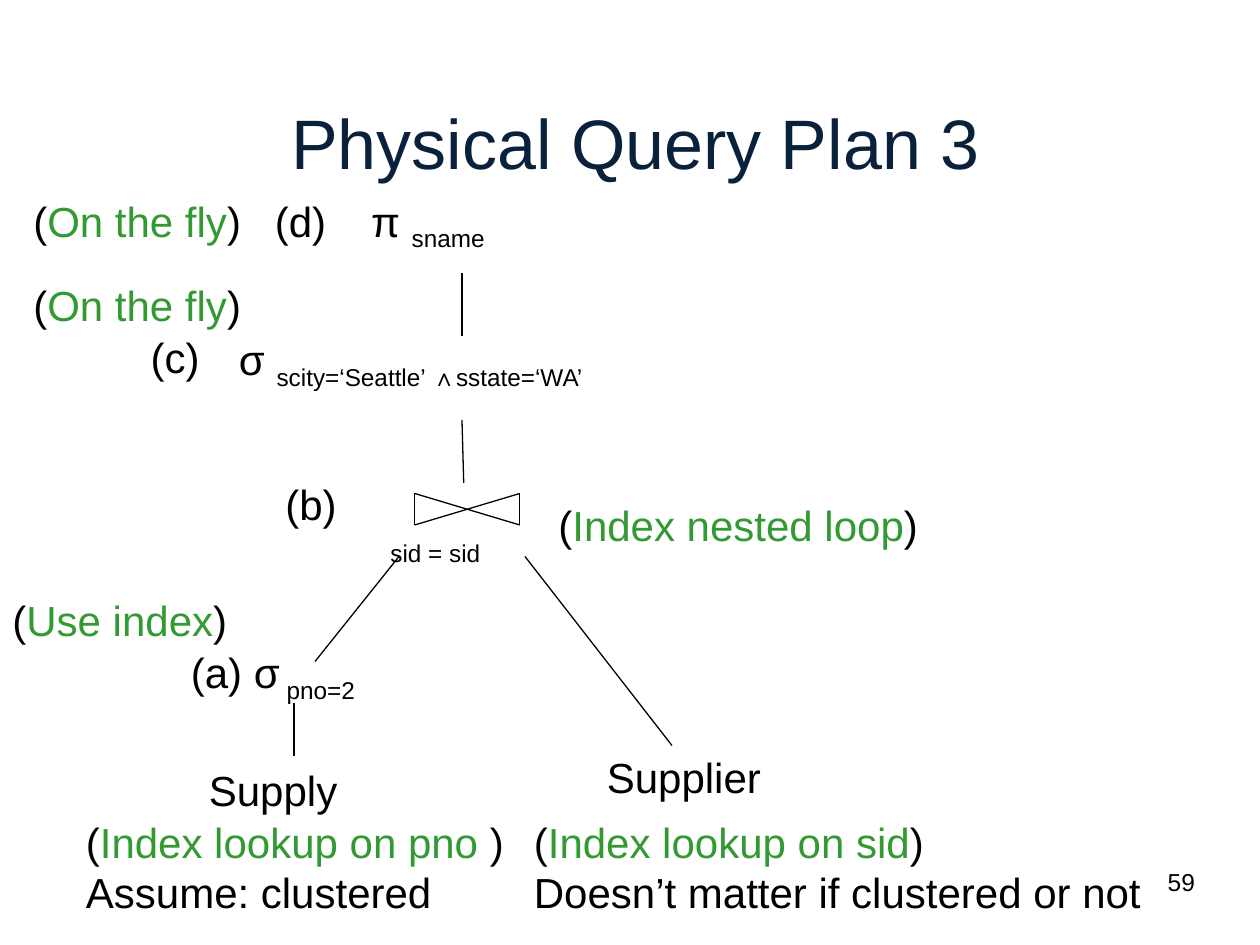
from dataclasses import dataclass

from lxml import etree
from pptx import Presentation
from pptx.dml.color import RGBColor
from pptx.enum.shapes import MSO_CONNECTOR
from pptx.enum.text import MSO_ANCHOR, MSO_AUTO_SIZE, PP_ALIGN
from pptx.oxml.ns import qn
from pptx.util import Pt

STRAIGHT = MSO_CONNECTOR.STRAIGHT
MIDDLE = MSO_ANCHOR.MIDDLE
GROW = MSO_AUTO_SIZE.SHAPE_TO_FIT_TEXT
FIXED = MSO_AUTO_SIZE.NONE
CENTER, RIGHT, LEFT = PP_ALIGN.CENTER, PP_ALIGN.RIGHT, PP_ALIGN.LEFT


@dataclass(frozen=True)
class Theme:
    font: str = "Arial"
    ink: RGBColor = RGBColor(0, 0, 0)
    green: RGBColor = RGBColor(0x33, 0x99, 0x33)
    navy: RGBColor = RGBColor(0x09, 0x21, 0x3B)
    white: RGBColor = RGBColor(255, 255, 255)
    title: int = 40
    body: int = 24
    small: int = 14
    rule: float = 0.75


THEME = Theme()


def plain(text):
    return [(text, THEME.ink, False)]


def sub(text):
    return [(text, THEME.ink, True)]


def note(text):
    """Green remark in black brackets."""
    return plain("(") + [(text, THEME.green, False)] + plain(")")


def write(frame, lines, size=THEME.body, align=LEFT):
    """Fill a text frame; each line is a list of (text, color, lowered) runs."""
    for i, runs in enumerate(lines):
        para = frame.add_paragraph() if i else frame.paragraphs[0]
        para.alignment = align
        for text, color, low in runs:
            run = para.add_run()
            run.text = text
            look = {"name": THEME.font, "size": Pt(size), "bold": False}
            for key, value in look.items():
                setattr(run.font, key, value)
            run.font.color.rgb = color
            if low:
                run.font._element.set("baseline", "-25000")


def add_title(slide, text):
    title = slide.shapes.title
    place = {"left": 24, "top": 36, "width": 678, "height": 90}
    for key, value in place.items():
        setattr(title, key, Pt(value))
    title.text_frame.vertical_anchor = MIDDLE
    write(title.text_frame, [[(text, THEME.navy, False)]], THEME.title, CENTER)


def add_label(slide, area, *lines, wrap=False, fill=None):
    box = slide.shapes.add_textbox(*map(Pt, area))
    if fill is not None:
        box.fill.solid()
        box.fill.fore_color.rgb = fill
    frame = box.text_frame
    frame.word_wrap = wrap
    frame.auto_size = GROW
    write(frame, lines)


def add_number(slide, text):
    frame = slide.shapes.add_textbox(Pt(540), Pt(492), Pt(150), Pt(36)).text_frame
    frame.word_wrap = True
    frame.auto_size = FIXED
    write(frame, [plain(text)], THEME.small, RIGHT)


def add_line(shapes, start, end):
    line = shapes.add_connector(STRAIGHT, *map(Pt, start + end))
    line.line.color.rgb = THEME.ink
    line.line.width = Pt(THEME.rule)
    etree.SubElement(line._element.spPr, qn("a:effectLst"))


def add_join(slide, left, top, right, bottom):
    """Bow tie, the sign of a natural join."""
    group = slide.shapes.add_group_shape()
    for x1, x2 in ((left, left), (right, right), (left, right), (right, left)):
        add_line(group.shapes, (x1, top), (x2, bottom))


def main():
    deck = Presentation()
    deck.slide_width, deck.slide_height = Pt(720), Pt(540)
    slide = deck.slides.add_slide(deck.slide_layouts[5])
    add_title(slide, "Physical Query Plan 3")

    add_join(slide, 237, 282, 297, 300)
    edges = [
        ((264, 156), (264, 192)),
        ((264, 240), (265, 276)),
        ((180, 378), (228, 318)),
        ((300, 318), (384, 426)),
        ((168, 402), (168, 432)),
    ]
    for start, end in edges:
        add_line(slide.shapes, start, end)

    labels = [
        ((205, 108, 81, 36), plain("π ") + sub("sname")),
        ((129.5, 187.3, 232, 36), plain("σ ") + sub("scity=‘Seattle’ ∧sstate=‘WA’")),
        ((216, 288, 73, 27), sub("sid = sid")),
        ((102, 366, 115, 36), plain("(a) σ") + sub(" pno=2")),
        ((156, 270, 45, 36), plain("(b)")),
        ((79, 186, 44, 36), plain("(c)")),
        ((150, 108, 45, 36), plain("(d)")),
        ((112.3, 433.5, 88, 36), plain("Supply")),
        ((339.7, 426, 103, 36), plain("Supplier")),
        ((12, 108, 133, 36), note("On the fly")),
        ((12, 156, 133, 36), note("On the fly")),
        ((312, 282, 220, 36), note("Index nested loop")),
    ]
    for area, runs in labels:
        add_label(slide, area, runs)

    add_label(slide, (0, 336, 198, 36), note("Use index"), wrap=True)
    add_label(slide, (298, 463, 372, 65), note("Index lookup on sid"),
              plain("Doesn’t matter if clustered or not"), fill=THEME.white)
    add_label(slide, (42, 463, 256, 65), note("Index lookup on pno "),
              plain("Assume: clustered"), wrap=True)
    add_number(slide, "59")
    deck.save("out.pptx")


if __name__ == "__main__":
    main()
